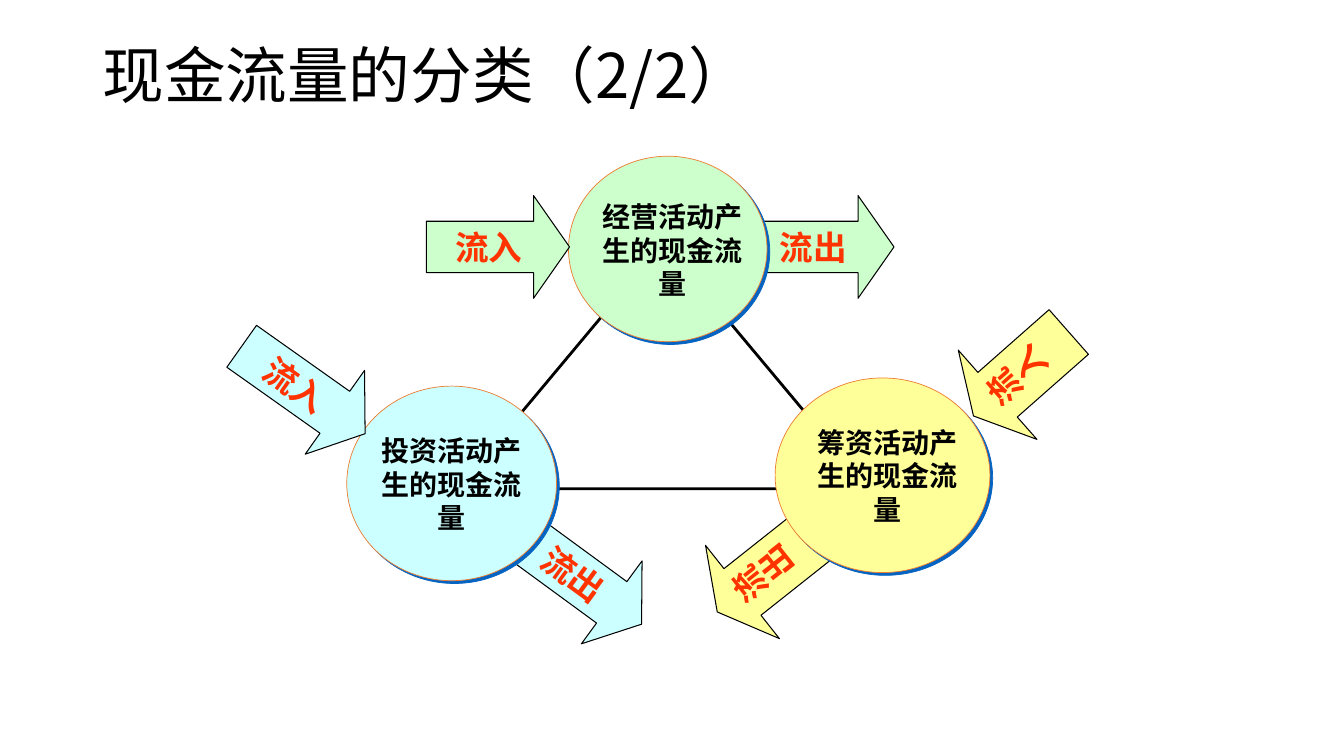
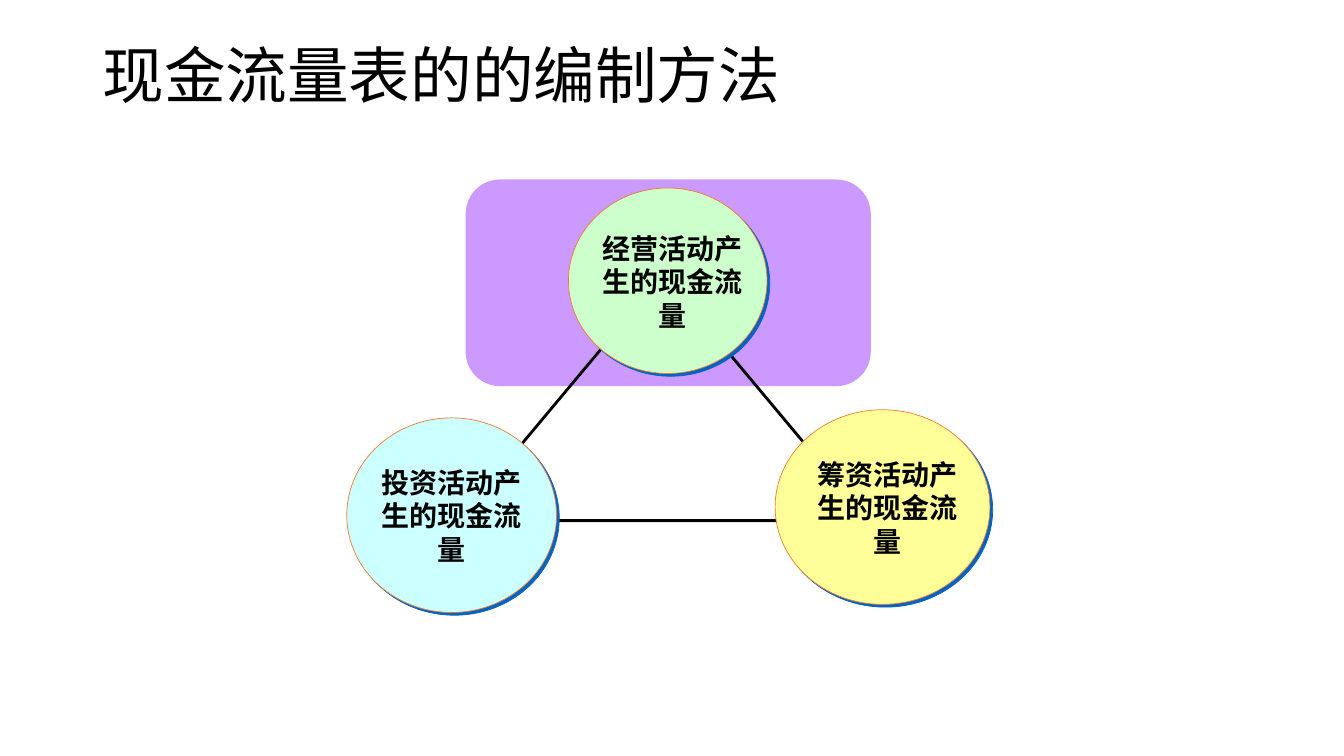
from dataclasses import dataclass
from lxml import etree
from pptx import Presentation
from pptx.dml.color import RGBColor as Rgb
from pptx.enum import shapes, text
from pptx.oxml import ns
from pptx.util import Pt


@dataclass
class Theme:
    black: str = "000000"
    red: str = "FF3300"
    green: str = "CCFFCC"
    cyan: str = "CCFFFF"
    yellow: str = "FFFF99"
    purple: str = "CC99FF"
    rim: str = "ED7D31"
    shade: str = "0563C1"
    head: str = "Noto Sans CJK SC"
    body: str = "Arial"
    big: int = 44
    mid: int = 24
    small: int = 20


look = Theme()
kinds = shapes.MSO_SHAPE
align = text.PP_ALIGN
anchor = text.MSO_ANCHOR


def draw(slide, kind, box, fill=None, line=None, width=0.75):
    shape = slide.shapes.add_shape(kind, *map(Pt, box))
    shape.shadow.inherit = False
    if fill:
        shape.fill.solid()
        shape.fill.fore_color.rgb = Rgb.from_string(fill)
    else:
        shape.fill.background()
    if line:
        shape.line.color.rgb = Rgb.from_string(line)
        shape.line.width = Pt(width)
    else:
        shape.line.fill.background()
    return shape


def write(frame, words, size, ink, face, bold, side):
    para = frame.paragraphs[0]
    para.alignment = side
    run = para.add_run()
    run.text = words
    run.font.size = Pt(size)
    run.font.bold = bold
    run.font.color.rgb = Rgb.from_string(ink)
    run.font.name = face
    east = etree.SubElement(run.font._element, ns.qn("a:ea"))
    east.set("typeface", face)
    return para


right, down = kinds.RIGHT_ARROW, kinds.DOWN_ARROW
flows = {
    "流出": [
        (down, (505.4, 363.6, 85, 90.7), 51.6, 0.27, look.yellow),
        (right, (360.7, 377.3, 108, 73.4), 36.2, 0.36, look.cyan),
        (right, (536.4, 139.7, 102.2, 73.4), 0, 0.35, look.green),
    ],
    "流入": [
        (right, (304.6, 139.7, 102.2, 73.4), 0, 0.35, look.green),
        (right, (162.7, 241.9, 108, 73.4), 35.3, 0.36, look.cyan),
        (down, (686.9, 221.8, 85, 90.7), 48.6, 0.27, look.yellow),
    ],
}
discs = [
    ("经营", (406.1, 111.6, 141.8, 132.5), (423.4, 142.6), look.green),
    ("投资", (247.7, 275.8, 149.8, 139), (265, 309.6), look.cyan),
    ("筹资", (553.7, 270, 153.4, 139), (576.7, 303.8), look.yellow),
]
pages = [
    ("现金流量的分类（2/2）", 0, ["流出", "discs", "流入"]),
    ("现金流量表的的编制方法", 22.7, ["panel", "discs"]),
]

deck = Presentation()
deck.slide_width, deck.slide_height = Pt(960), Pt(540)

for title, drop, layers in pages:
    slide = deck.slides.add_slide(deck.slide_layouts[5])
    head = slide.shapes.title
    head.left, head.top, head.width, head.height = map(Pt, (66, 28.8, 828, 104.4))
    frame = head.text_frame
    frame.auto_size = text.MSO_AUTO_SIZE.NONE
    frame.word_wrap = True
    frame.vertical_anchor = anchor.TOP
    para = write(frame, title, look.big, look.black, look.head, False, align.LEFT)
    para.line_spacing = 0.9

    for layer in layers:
        if layer == "panel":
            draw(slide, kinds.ROUNDED_RECTANGLE, (332.6, 128.2, 289.4, 147.6), look.purple)
        elif layer == "discs":
            draw(slide, kinds.ISOSCELES_TRIANGLE, (326.9, 173.5 + drop, 293.8, 175.7),
                 line=look.black, width=2)
            for name, (x, y, w, h), spot, fill in discs:
                disc = draw(slide, kinds.OVAL, (x, y + drop, w, h), fill, look.rim, 0.5)
                effect = disc._element.spPr.find(ns.qn("a:effectLst"))
                shade = etree.SubElement(effect, ns.qn("a:outerShdw"), blurRad="0",
                                         dist=str(Pt(2.8)), dir="2700000",
                                         algn="ctr", rotWithShape="0")
                etree.SubElement(shade, ns.qn("a:srgbClr"), val=look.shade)
            for name, box, (x, y), fill in discs:
                label = slide.shapes.add_textbox(Pt(x), Pt(y + drop), Pt(114.5), Pt(72))
                frame = label.text_frame
                frame.word_wrap = True
                frame.vertical_anchor = anchor.MIDDLE
                frame.margin_left = frame.margin_right = 0
                frame.margin_top = frame.margin_bottom = 0
                write(frame, name + "活动产生的现金流量", look.small, look.black,
                      look.body, True, align.CENTER)
        else:
            for kind, box, turn, tip, fill in flows[layer]:
                arrow = draw(slide, kind, box, fill, look.black)
                arrow.rotation = turn
                arrow.adjustments[0] = 0.5
                arrow.adjustments[1] = tip
                frame = arrow.text_frame
                frame.word_wrap = False
                frame.vertical_anchor = anchor.MIDDLE
                if kind == down:
                    body = frame._element.find(ns.qn("a:bodyPr"))
                    body.set("rot", "10800000")
                    body.set("vert", "eaVert")
                write(frame, layer, look.mid, look.red, look.body, True, align.CENTER)

deck.save("out.pptx")
